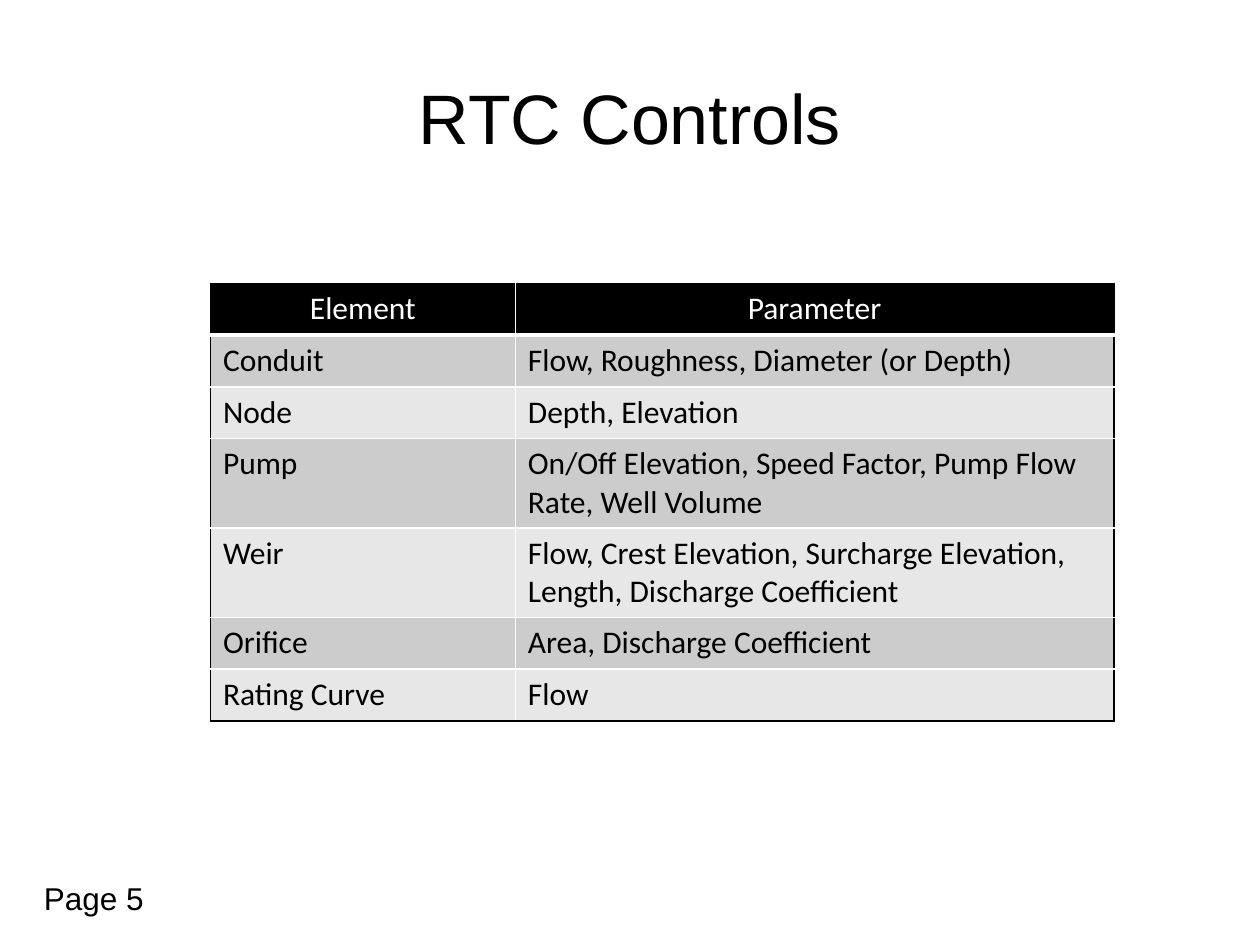
from dataclasses import dataclass

from lxml.etree import SubElement
from pptx import Presentation
from pptx.dml.color import RGBColor
from pptx.enum.text import MSO_ANCHOR, MSO_AUTO_SIZE, PP_ALIGN
from pptx.oxml.ns import qn
from pptx.util import Inches, Pt

BLACK, WHITE = "000000", "FFFFFF"
BANDS = ("CCCCCC", "E7E7E7")
LINE = 0.41  # height of a one-line row
TALL = 0.7  # height of a two-line row
COLS = (2.42, 4.75)


@dataclass
class Entry:
    element: str
    params: str
    height: float = LINE


ROWS = [
    Entry("Element", "Parameter"),
    Entry("Conduit", "Flow, Roughness, Diameter (or Depth)"),
    Entry("Node", "Depth, Elevation"),
    Entry("Pump", "On/Off Elevation, Speed Factor, Pump Flow Rate, Well Volume", TALL),
    Entry("Weir", "Flow, Crest Elevation, Surcharge Elevation, Length, "
          "Discharge Coefficient", TALL),
    Entry("Orifice", "Area, Discharge Coefficient"),
    Entry("Rating Curve", "Flow"),
]


def paint(color: str) -> RGBColor:
    return RGBColor.from_string(color)


def style(para, face: str, size: float, color: str = BLACK, align=PP_ALIGN.LEFT) -> None:
    para.alignment = align
    para.font.name = face
    para.font.size = Pt(size)
    para.font.color.rgb = paint(color)


def edge(cell, side: str, color: str, width: float) -> None:
    line = SubElement(cell._tc.get_or_add_tcPr(), qn(f"a:ln{side}"), w=str(Pt(width)))
    fill = SubElement(line, qn("a:solidFill"))
    SubElement(fill, qn("a:srgbClr"), val=color)


def draw_cell(cell, text: str, row: int, col: int) -> None:
    head = row == 0
    # Black on the outside of the table, white between cells
    outer = {"L": col == 0, "R": col == len(COLS) - 1,
             "T": head, "B": row == len(ROWS) - 1}
    for side, out in outer.items():
        edge(cell, side, BLACK if out else WHITE, 3 if head and side == "B" else 1)
    cell.fill.solid()
    cell.fill.fore_color.rgb = paint(BLACK if head else BANDS[(row - 1) % 2])
    cell.text = text
    style(cell.text_frame.paragraphs[0], "Calibri", 18, WHITE if head else BLACK,
          PP_ALIGN.CENTER if head else PP_ALIGN.LEFT)


def draw_table(slide) -> None:
    high = sum(entry.height for entry in ROWS)
    table = slide.shapes.add_table(
        len(ROWS), len(COLS), Inches(1.67), Inches(2.25),
        Inches(sum(COLS)), Inches(high)).table
    for col, width in enumerate(COLS):
        table.columns[col].width = Inches(width)
    for row, entry in enumerate(ROWS):
        table.rows[row].height = Inches(entry.height)
        for col, text in enumerate((entry.element, entry.params)):
            draw_cell(table.cell(row, col), text, row, col)


def main() -> None:
    deck = Presentation()
    deck.slide_width, deck.slide_height = Inches(10), Inches(7.5)
    slide = deck.slides.add_slide(deck.slide_layouts[5])

    # Title
    title = slide.shapes.title
    title.left, title.top = Inches(0.5), Inches(0.3)
    title.width, title.height = Inches(9), Inches(1.25)
    title.text = "RTC Controls"
    title.text_frame.vertical_anchor = MSO_ANCHOR.MIDDLE
    style(title.text_frame.paragraphs[0], "Arial", 40, align=PP_ALIGN.CENTER)

    # Table of controls
    draw_table(slide)

    # Page label
    frame = slide.shapes.add_textbox(
        Inches(0.25), Inches(6.93), Inches(1.67), Inches(0.4)).text_frame
    frame.word_wrap = True
    frame.auto_size = MSO_AUTO_SIZE.SHAPE_TO_FIT_TEXT
    frame.text = "Page 5"
    style(frame.paragraphs[0], "Arial", 18)

    deck.save("out.pptx")


if __name__ == "__main__":
    main()
